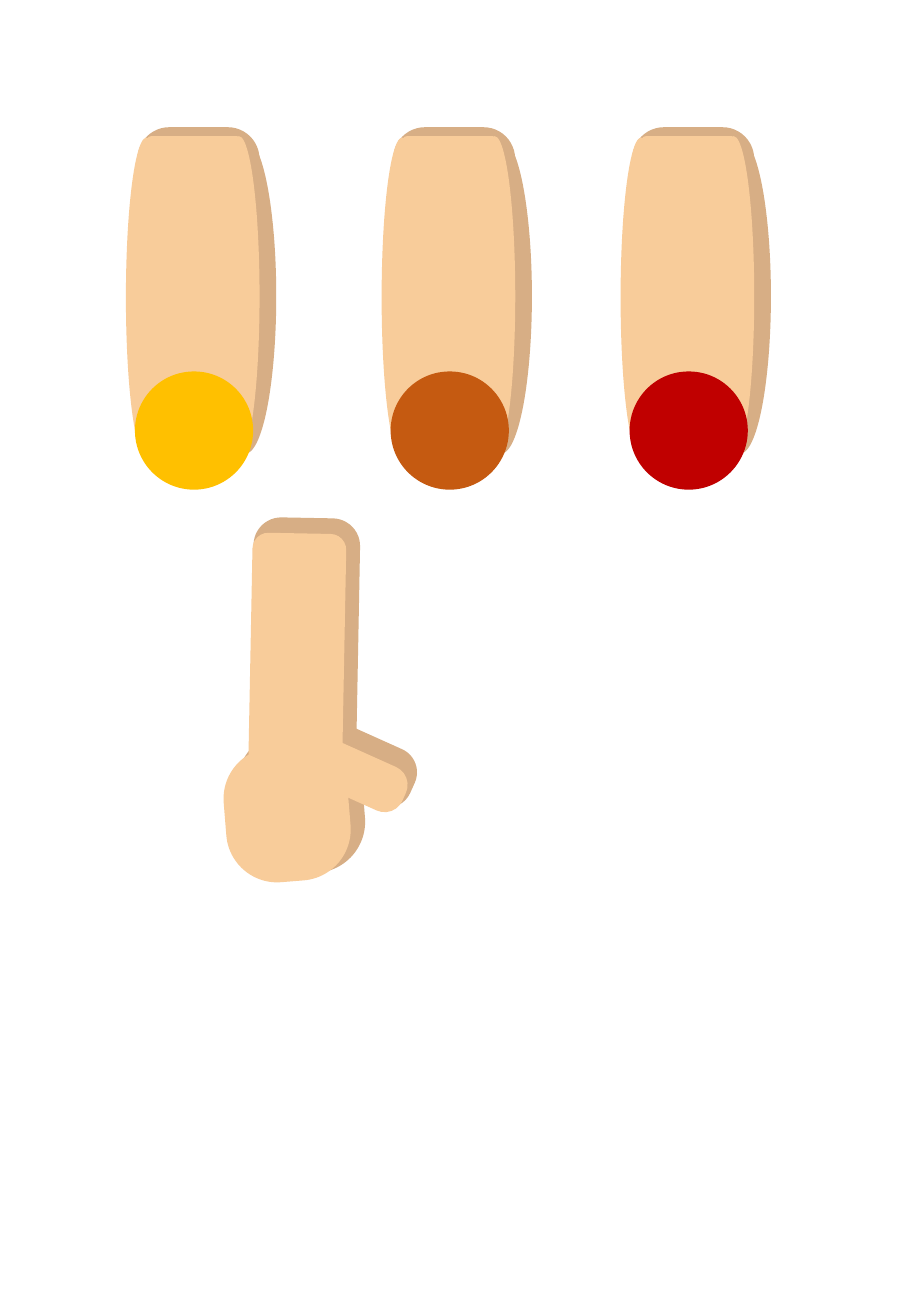
from pptx import Presentation
from pptx.dml.color import RGBColor
from pptx.enum.shapes import MSO_SHAPE
from pptx.util import Inches

ELLIPSE = MSO_SHAPE.OVAL
ROUNDED = MSO_SHAPE.ROUNDED_RECTANGLE

SKIN = "F8CC9A"
SHADE = "D7AE85"


def rgb(value):
    return RGBColor.from_string(value)


class Drawing:
    """Holds the skin colours, the slide and the group being filled."""

    def __init__(self, slide, skin=SKIN, shade=SHADE):
        self.slide = slide
        self.skin = skin
        self.shade = shade
        self.group = None

    def start_group(self):
        self.group = self.slide.shapes.add_group_shape()

    def _add(self, kind, box, color):
        part = self.group.shapes.add_shape(kind, *(Inches(v) for v in box))
        part.shadow.inherit = False
        part.fill.solid()
        part.fill.fore_color.rgb = rgb(color)
        part.line.fill.background()
        return part

    def ellipse(self, box, color):
        self._add(ELLIPSE, box, color)

    def rounded(self, box, color, corner, rotation=0):
        part = self._add(ROUNDED, box, color)
        part.adjustments[0] = corner
        part.rotation = rotation

    def hand(self):
        """A pointing hand: finger, palm and thumb over their shade."""
        finger_turn, palm_turn, thumb_turn = 1.1, 355.4, 294.2
        round_corner = 0.41
        self.start_group()
        # Shade
        self.rounded((1.96, 4.03, 0.83, 1.84), self.shade, 0.26, finger_turn)
        self.rounded((1.86, 5.69, 0.97, 1.11), self.shade, round_corner, palm_turn)
        self.rounded((2.46, 5.34, 0.48, 1.12), self.shade, round_corner, thumb_turn)
        # Skin
        self.rounded((1.95, 4.15, 0.73, 1.84), self.skin, 0.17, finger_turn)
        self.rounded((1.75, 5.81, 0.97, 1.05), self.skin, round_corner, palm_turn)
        self.rounded((2.45, 5.41, 0.37, 1.12), self.skin, round_corner, thumb_turn)

    def arm(self, left, tip_color):
        """An arm whose left edge is at left, ending in a coloured disc."""
        self.start_group()
        # Shade
        self.ellipse((left + 0.69, 1.08, 0.48, 2.45), self.shade)
        self.rounded((left + 0.09, 0.99, 0.95, 2.37), self.shade, 0.26)
        # Skin
        self.rounded((left + 0.16, 1.06, 0.74, 2.37), self.skin, 0.05)
        self.ellipse((left, 1.07, 0.32, 2.49), self.skin)
        self.ellipse((left + 0.72, 1.06, 0.32, 2.49), self.skin)
        # Disc
        self.ellipse((left + 0.07, 2.89, 0.92, 0.92), tip_color)


def main():
    deck = Presentation()
    deck.slide_width = Inches(7.09)
    deck.slide_height = Inches(10.24)
    drawing = Drawing(deck.slides.add_slide(deck.slide_layouts[6]))

    drawing.hand()
    for left, tip_color in ((0.98, "FFC000"), (2.97, "C55A11"), (4.83, "C00000")):
        drawing.arm(left, tip_color)

    deck.save("out.pptx")


if __name__ == "__main__":
    main()
